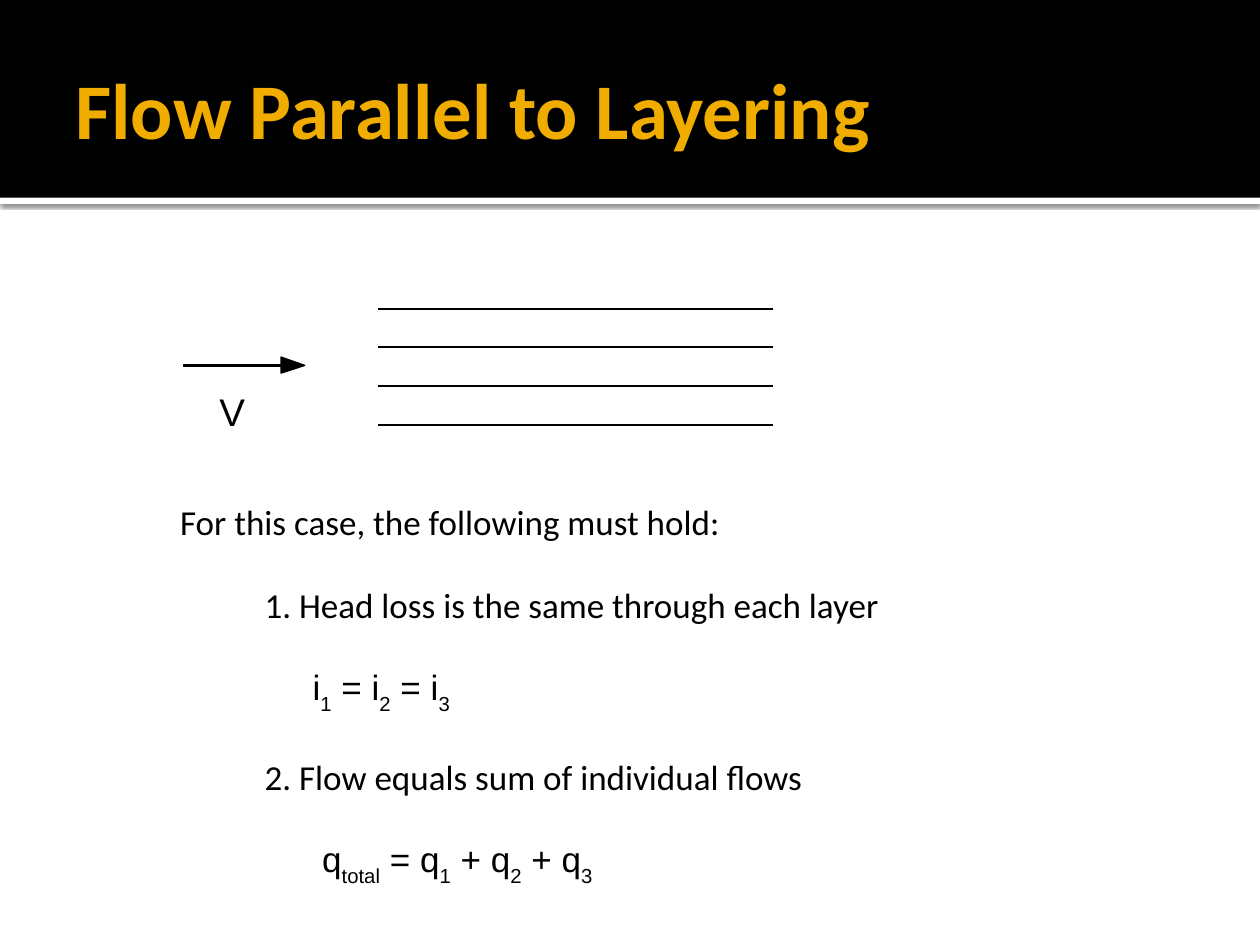
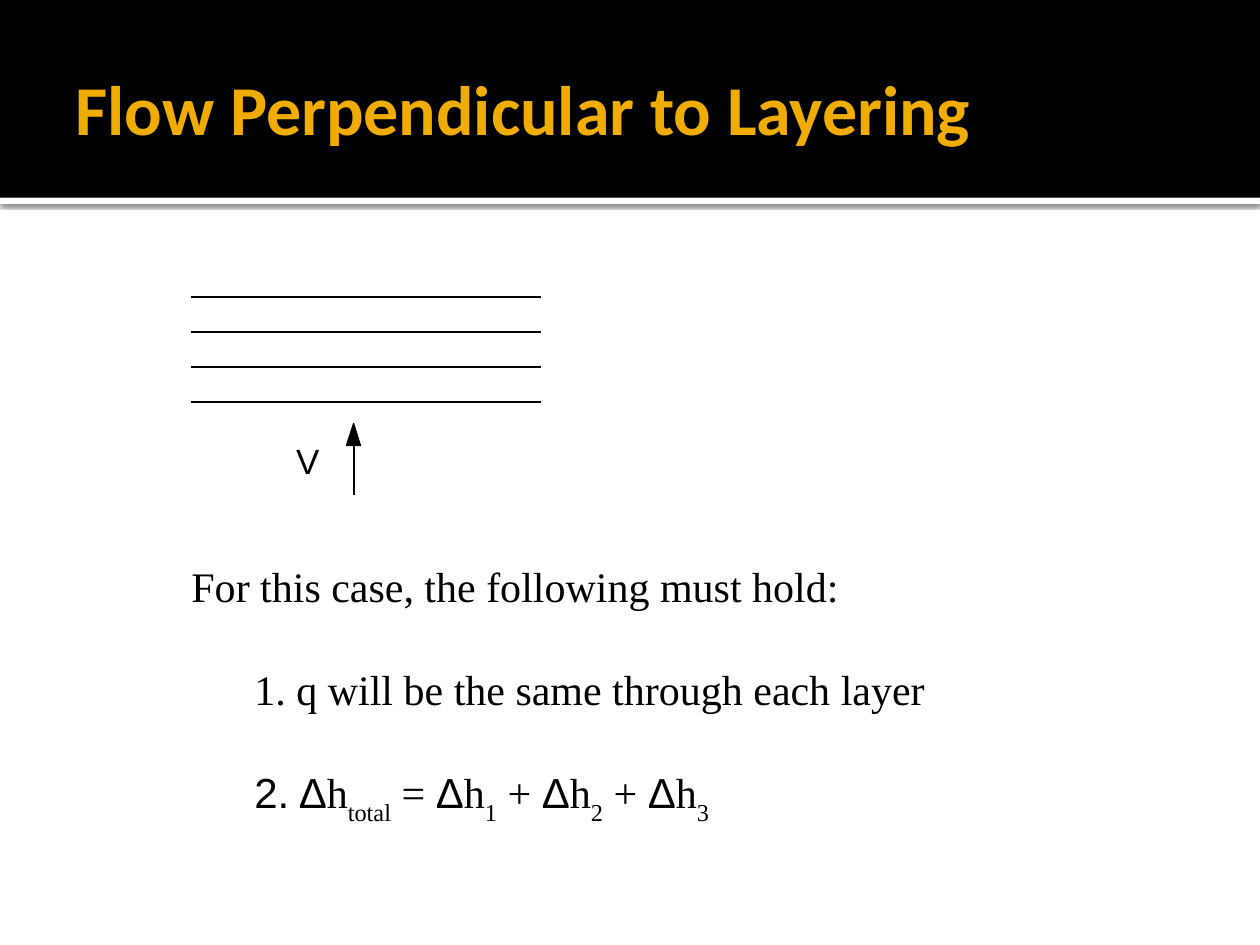
"""Build two slides on flow parallel and perpendicular to soil layering."""
from lxml import etree
from pptx import Presentation
from pptx.dml.color import RGBColor
from pptx.enum.shapes import MSO_CONNECTOR, MSO_SHAPE
from pptx.enum.text import MSO_ANCHOR, MSO_AUTO_SIZE, PP_ALIGN
from pptx.oxml import parse_xml
from pptx.oxml.ns import nsdecls, qn
from pptx.util import Pt

RECT, STRAIGHT = MSO_SHAPE.RECTANGLE, MSO_CONNECTOR.STRAIGHT
TOP, MIDDLE = MSO_ANCHOR.TOP, MSO_ANCHOR.MIDDLE
LEFT, NO_FIT = PP_ALIGN.LEFT, MSO_AUTO_SIZE.NONE

THEME = {
    "black": RGBColor(0, 0, 0),
    "white": RGBColor(255, 255, 255),
    "gold": RGBColor(0xF0, 0xAD, 0x00),
    "sans": "Calibri",
    "symbol": "Arial",
    "serif": "Times New Roman",
    "head_line": 0.75,
}
SHADOW = (
    f'<a:effectLst {nsdecls("a")}><a:outerShdw blurRad="{Pt(2.5)}" dist="{Pt(0.8)}" '
    'dir="5400000" algn="t" rotWithShape="0"><a:srgbClr val="000000">'
    '<a:alpha val="60000"/></a:srgbClr></a:outerShdw></a:effectLst>'
)
INTRO = "For this case, the following must hold:"

SLIDES = [
    {
        "title": "Flow Parallel to Layering", "title_size": 45,
        "layers": {"left": 216, "right": 442, "top": 176.4, "gap": 22.1, "width": 1.13},
        "v": (125.3, 221.8, 14.7, 26.6), "v_size": 22,
        "arrow": (104.4, 208.8, 162, 208.8), "arrow_width": 1.38,
        "head": [(160.6, 204), (174.2, 208.8), (160.6, 213.2)],
        "intro": (95.8, 282.2, 329.8, 31.7),
        "body": (144, 329.8, 437.8, 177.1), "size": 20,
        "lines": [
            ("1. Head loss is the same through each layer", "sans", 0, 0),
            ("i|_1| = i|_2| = i|_3", "symbol", 27.4, 23),
            ("2. Flow equals sum of individual flows", "sans", 0, 23),
            ("q|_total| = q|_1| + q|_2| + q|_3", "symbol", 32.9, 23),
        ],
    },
    {
        "title": "Flow Perpendicular to Layering", "title_size": 40,
        "layers": {"left": 109.4, "right": 308.9, "top": 169.9, "gap": 20, "width": 1},
        "v": (169.2, 251.3, 13.7, 23.8), "v_size": 20,
        "arrow": (202.1, 283, 202.1, 253.4), "arrow_width": 1.25,
        "head": [(198, 254.6), (202.1, 242), (206, 254.6)],
        "intro": None,
        "body": (102.2, 316.8, 475.2, 151.2), "size": 24,
        "lines": [
            (INTRO, "serif", 0, 0),
            ("1. q will be the same through each layer", "serif", 36, 30),
            ("2. Δ|h|_total| = |Δ|h|_1| + |Δ|h|_2| + |Δ|h|_3", "serif", 36, 30),
        ],
    },
]


def write(tf, lines, size):
    """Fill a frame; bars split runs and a leading underscore marks a subscript."""
    tf.word_wrap, tf.auto_size = True, NO_FIT
    for i, (text, font, indent, before) in enumerate(lines):
        p = tf.paragraphs[0] if i == 0 else tf.add_paragraph()
        p.alignment, p.space_before = LEFT, Pt(before)
        pPr = p._p.get_or_add_pPr()
        pPr.set("marL", str(Pt(indent)))
        pPr.set("indent", "0")
        etree.SubElement(pPr, qn("a:buNone"))
        for part in text.split("|"):
            r = p.add_run()
            r.text = part.removeprefix("_")
            name = THEME["symbol" if "Δ" in part else font]
            for key, value in {"name": name, "size": Pt(size)}.items():
                setattr(r.font, key, value)
            r.font.color.rgb = THEME["black"]
            if part.startswith("_"):
                r._r.get_or_add_rPr().set("baseline", "-30000")


def add_line(s, ends, width):
    """Draw a plain black straight line."""
    c = s.shapes.add_connector(STRAIGHT, *map(Pt, ends))
    c.line.color.rgb, c.line.width = THEME["black"], Pt(width)
    etree.SubElement(c._element.spPr, qn("a:effectLst"))


prs = Presentation()
prs.slide_width, prs.slide_height = Pt(720), Pt(540)
layout = prs.slide_layouts[1]

title = layout.placeholders[0]
title.left, title.top, title.width, title.height = map(Pt, (36, 12.2, 648, 98.6))
frame_format = {
    "vertical_anchor": MIDDLE, "auto_size": NO_FIT,
    "margin_left": Pt(7.2), "margin_right": Pt(3.6),
    "margin_top": Pt(3.6), "margin_bottom": Pt(3.6),
}
for key, value in frame_format.items():
    setattr(title.text_frame, key, value)

for n, data in enumerate(SLIDES):
    s = prs.slides.add_slide(layout)

    if n == 0:
        master_tree = prs.slide_master.shapes.element
        bands = [("white", 113, 3.6), ("black", 0, 113)]
        for i, (color, top, height) in enumerate(bands):
            band = s.shapes.add_shape(RECT, 0, Pt(top), prs.slide_width, Pt(height))
            band.fill.solid()
            band.fill.fore_color.rgb = THEME[color]
            band.line.fill.background()
            if color == "white":
                band._element.spPr.append(parse_xml(SHADOW))
            else:
                band.shadow.inherit = False
            master_tree.insert(2 + i, band._element)

    p = s.shapes.title.text_frame.paragraphs[0]
    p.alignment = LEFT
    r = p.add_run()
    r.text = data["title"]
    title_font = {"name": THEME["sans"], "size": Pt(data["title_size"]), "bold": True}
    for key, value in title_font.items():
        setattr(r.font, key, value)
    r.font.color.rgb = THEME["gold"]

    if data["intro"]:
        box = s.shapes.add_textbox(*map(Pt, data["intro"]))
        box.text_frame.vertical_anchor = MIDDLE
        write(box.text_frame, [(INTRO, "sans", 0, 0)], data["size"])

    body = s.placeholders[1]
    body.left, body.top, body.width, body.height = map(Pt, data["body"])
    body.text_frame.vertical_anchor = TOP
    write(body.text_frame, data["lines"], data["size"])

    layers = data["layers"]
    for i in range(4):
        y = layers["top"] + i * layers["gap"]
        add_line(s, (layers["left"], y, layers["right"], y), layers["width"])

    box = s.shapes.add_textbox(*map(Pt, data["v"]))
    tf = box.text_frame
    for side in ("left", "right", "top", "bottom"):
        setattr(tf, f"margin_{side}", 0)
    write(tf, [("V", "symbol", 0, 0)], data["v_size"])

    add_line(s, data["arrow"], data["arrow_width"])
    points = [(Pt(x), Pt(y)) for x, y in data["head"]]
    builder = s.shapes.build_freeform(*points[0])
    builder.add_line_segments(points[1:], close=True)
    head = builder.convert_to_shape()
    head.shadow.inherit = False
    head.fill.solid()
    head.fill.fore_color.rgb = head.line.color.rgb = THEME["black"]
    head.line.width = Pt(THEME["head_line"])

prs.save("out.pptx")
